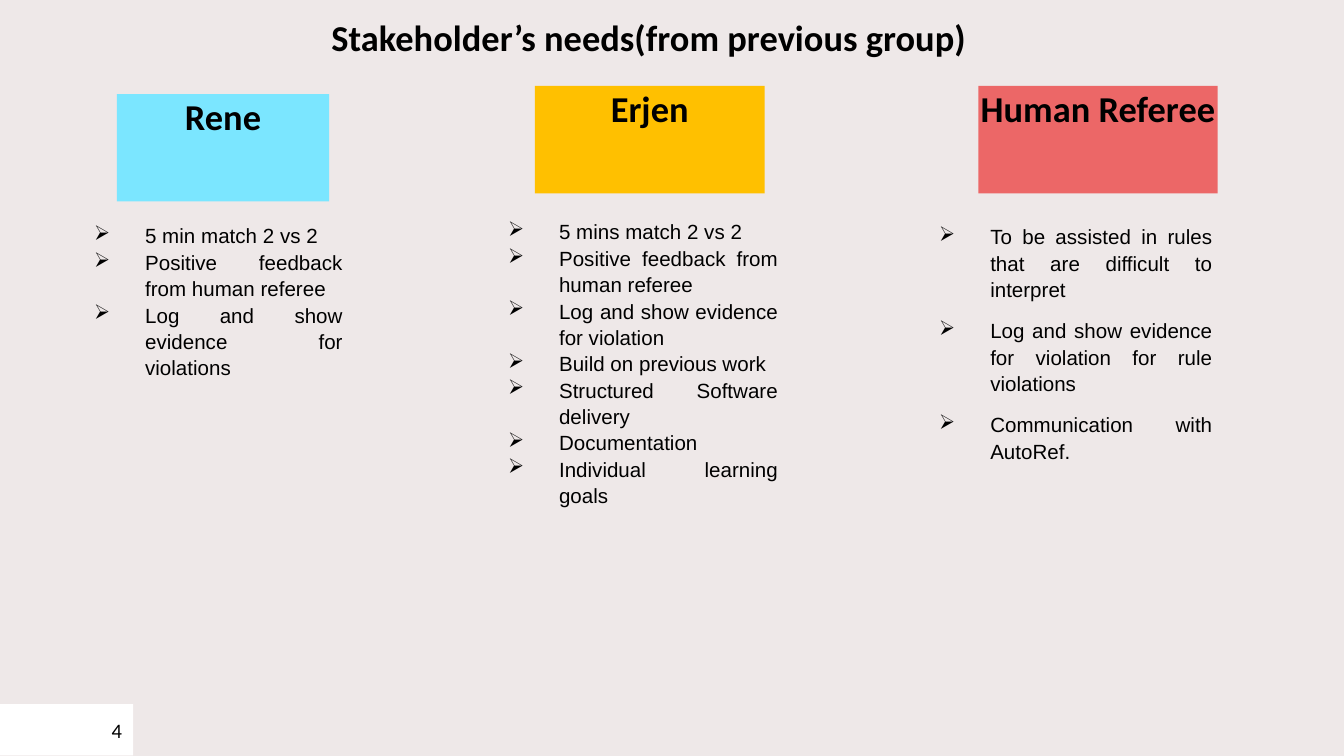
from lxml import etree
from pptx import Presentation
from pptx import util as u
from pptx.dml.color import RGBColor
from pptx.enum import shapes, text
from pptx.oxml.ns import qn

BACKGROUND = "EEE8E8"
HEADING = {"size": u.Pt(19.5), "name": "Calibri", "bold": True}
BODY = {"size": u.Pt(11), "name": "Arial"}
NUMBER = {"size": u.Pt(11), "name": "Calibri"}
INDENT = 27.36

# Boxes are left, top, width, height in points; insets are left, top, right, bottom.
TITLE = ("Stakeholder’s needs(from previous group)", (50.4, 7.92, 594.72, 42.48))
PAGE = ("4", (0, 377.28, 71.28, 27.5))
STAKEHOLDERS = [
    {"name": "Erjen", "color": "FFC000", "box": (286.56, 46.08, 123.12, 57.6),
     "list_box": (272.16, 116.64, 144.72, 231.12), "gap": 0,
     "needs": ["5 mins match 2 vs 2", "Positive feedback from human referee",
               "Log and show evidence for violation", "Build on previous work",
               "Structured Software delivery", "Documentation",
               "Individual learning goals"]},
    {"name": "Rene", "color": "7BE6FF", "box": (62.64, 50.4, 113.76, 57.6),
     "list_box": (50.4, 118.8, 133.2, 231.12), "gap": 0,
     "needs": ["5 min match 2 vs 2", "Positive feedback from human referee",
               "Log and show evidence for violations"]},
    {"name": "Human Referee", "color": "EC6767", "box": (524.16, 46.08, 128.16, 57.6),
     "list_box": (496.08, 110.16, 160.56, 169.92), "gap": 8,
     "list_fill": BACKGROUND, "insets": (7.2, 9.2, 7.2, 3.6),
     "needs": ["To be assisted in rules that are difficult to interpret",
               "Log and show evidence for violation for rule violations",
               "Communication with AutoRef."]},
]


def rgb(color):
    """Turn a hex string into a colour."""
    return RGBColor.from_string(color)


def add_bullet(p):
    """Give a paragraph a hanging arrow bullet."""
    pPr = p._p.get_or_add_pPr()
    pPr.set("marL", str(u.Pt(INDENT)))
    pPr.set("indent", str(-u.Pt(INDENT)))
    etree.SubElement(pPr, qn("a:buChar")).set("char", "➢")


def add_block(slide, lines, box, font, fill=None, align=text.PP_ALIGN.CENTER,
              anchor=text.MSO_ANCHOR.TOP, insets=(0, 0, 0, 0), gap=0, bullets=False):
    """Add a text box, or a filled rectangle, with one paragraph per line."""
    place = [u.Pt(v) for v in box]
    if fill:
        sp = slide.shapes.add_shape(shapes.MSO_SHAPE.RECTANGLE, *place)
        sp.shadow.inherit = False
        sp.fill.solid()
        sp.fill.fore_color.rgb = rgb(fill)
        sp.line.fill.background()
    else:
        sp = slide.shapes.add_textbox(*place)
    tf = sp.text_frame
    tf.word_wrap = True
    tf.vertical_anchor = anchor
    for side, inset in zip(("left", "top", "right", "bottom"), insets):
        setattr(tf, f"margin_{side}", u.Pt(inset))
    for i, line in enumerate(lines):
        p = tf.add_paragraph() if i else tf.paragraphs[0]
        p.alignment = align
        if bullets:
            p.line_spacing = 1.07
            p.space_after = u.Pt(gap)
            add_bullet(p)
        r = p.add_run()
        r.text = line
        r.font.color.rgb = rgb("000000")
        for key, value in font.items():
            setattr(r.font, key, value)


def build():
    """Build and save the slide."""
    prs = Presentation()
    prs.slide_width, prs.slide_height = u.Pt(720), u.Pt(405)
    s = prs.slides.add_slide(prs.slide_layouts[6])
    s.background.fill.solid()
    s.background.fill.fore_color.rgb = rgb(BACKGROUND)

    for person in STAKEHOLDERS:
        add_block(s, person["needs"], person["list_box"], BODY,
                  fill=person.get("list_fill"), align=text.PP_ALIGN.JUSTIFY,
                  insets=person.get("insets", (0, 0, 0, 0)),
                  gap=person["gap"], bullets=True)
        add_block(s, [person["name"]], person["box"], HEADING, fill=person["color"])

    number, box = PAGE
    add_block(s, [number], box, NUMBER, fill="FFFFFF", align=text.PP_ALIGN.LEFT,
              anchor=text.MSO_ANCHOR.MIDDLE, insets=(59.76, 0, 0, 0))
    title, box = TITLE
    add_block(s, [title], box, HEADING)
    prs.save("out.pptx")


build()
